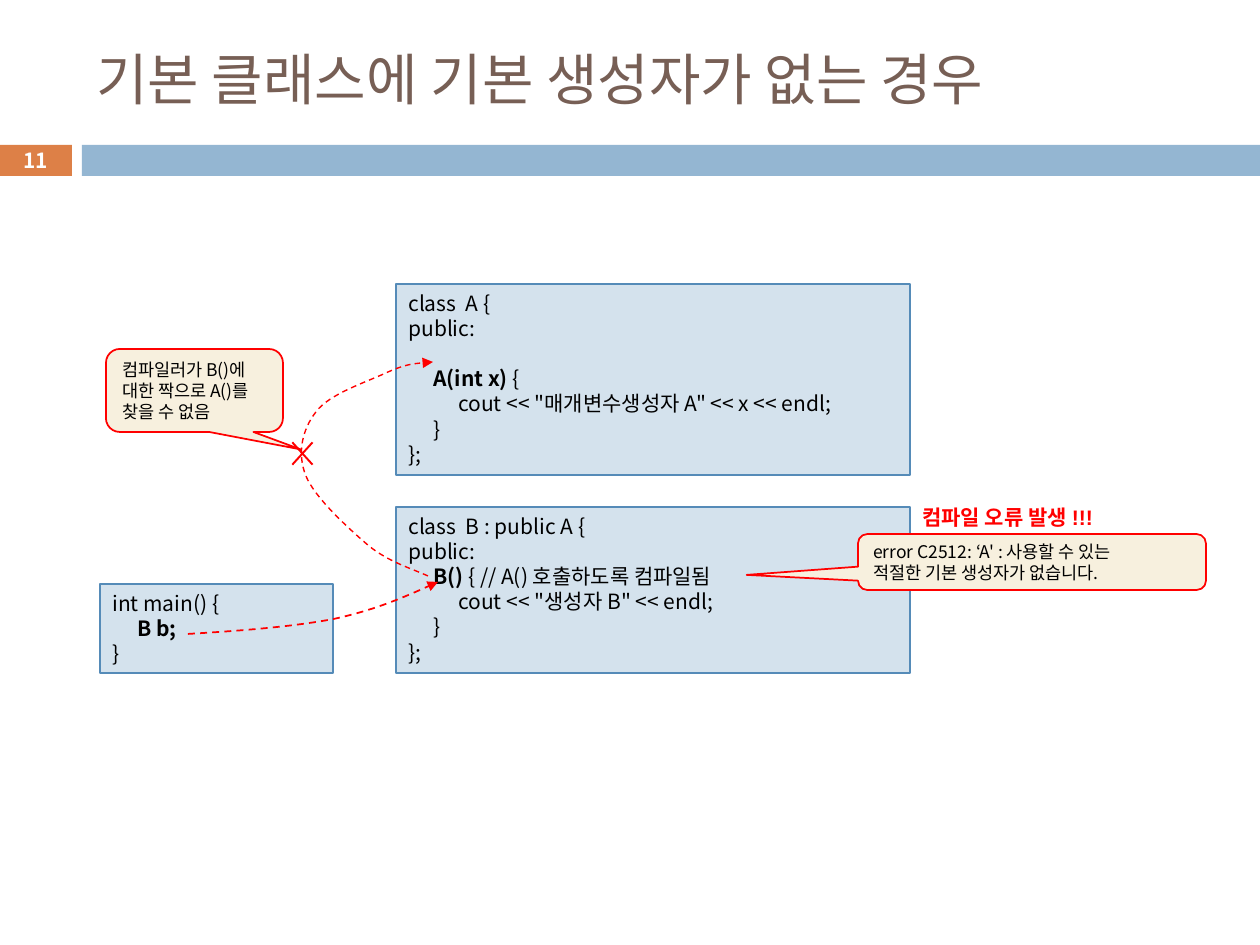
import lxml.etree
import pptx
import pptx.dml.color
import pptx.enum.dml
import pptx.enum.shapes
import pptx.enum.text
import pptx.oxml.ns
import pptx.util

SCALE = 914400 / 126  # EMU per px
FONT = "Noto Sans CJK KR"
TAB = 25
COLORS = {
    "title": "775F55", "number": "DD8047", "bar": "94B6D2", "white": "FFFFFF",
    "code": "D4E2ED", "code_line": "558BB8", "callout": "F7F0DE",
    "red": "FF0000", "black": "000000",
}
SHAPES = pptx.enum.shapes.MSO_SHAPE
ALIGN = pptx.enum.text.PP_ALIGN
ANCHOR = pptx.enum.text.MSO_ANCHOR
qn = pptx.oxml.ns.qn

presentation = pptx.Presentation()
presentation.slide_width = pptx.util.Inches(10)
presentation.slide_height = pptx.util.Inches(7.5)
slide = presentation.slides.add_slide(presentation.slide_layouts[6])


def add_box(kind, bounds, fill=None, line=None, width=1):
    """Add a preset shape, or a text box when kind is None; bounds are in px."""
    emu = [round(value * SCALE) for value in bounds]
    if kind is None:
        return slide.shapes.add_textbox(*emu)
    shape = slide.shapes.add_shape(kind, *emu)
    shape.shadow.inherit = False
    shape.fill.solid()
    shape.fill.fore_color.rgb = pptx.dml.color.RGBColor.from_string(COLORS[fill])
    if line:
        shape.line.color.rgb = pptx.dml.color.RGBColor.from_string(COLORS[line])
        shape.line.width = pptx.util.Pt(width)
    else:
        shape.line.fill.background()
    return shape


def write(shape, lines, size, color="black", bold=None, font=FONT,
          align=ALIGN.LEFT, anchor=ANCHOR.MIDDLE, wrap=True):
    """Fill a shape with lines; ** in a line switches bold on and off."""
    frame = shape.text_frame
    frame.word_wrap = wrap
    frame.vertical_anchor = anchor
    for index, line in enumerate(lines):
        paragraph = frame.paragraphs[0] if index == 0 else frame.add_paragraph()
        paragraph.alignment = align
        if "\t" in line:
            tabs = lxml.etree.SubElement(paragraph._p.get_or_add_pPr(), qn("a:tabLst"))
            for stop in (1, 2):
                lxml.etree.SubElement(tabs, qn("a:tab"), algn="l",
                                      pos=str(round(stop * TAB * SCALE)))
        paragraph.font.size = pptx.util.Pt(size)
        paragraph.font.name = font
        paragraph.font.bold = bold
        paragraph.font.color.rgb = pptx.dml.color.RGBColor.from_string(COLORS[color])
        latin = paragraph._p.pPr.find(qn("a:defRPr")).find(qn("a:latin"))
        latin.addnext(latin.makeelement(qn("a:ea"), {"typeface": FONT}))
        for part, text in enumerate(line.split("**")):
            if text:
                run = paragraph.add_run()
                run.text = text
                if part % 2:
                    run.font.bold = True


# Title band
number_box = add_box(SHAPES.RECTANGLE, (0, 145, 72, 31), "number")
write(number_box, ["11"], 11.9, "white", bold=True, align=ALIGN.CENTER)
add_box(SHAPES.RECTANGLE, (82, 145, 1178, 31), "bar")
title = add_box(None, (84, 32, 1124, 93))
write(title, ["기본 클래스에 기본 생성자가 없는 경우"], 32, "title")

# Code boxes
code_boxes = [
    ((396, 284, 514, 191), [
        "class  A {", "public:", "", "\t**A(int x) **{",
        '\t\tcout << "매개변수생성자 A" << x << endl;', "\t}", "};"]),
    ((396, 507, 514, 166), [
        "class  B : public A {", "public:", "\t**B() **{ // A() 호출하도록 컴파일됨",
        '\t\tcout << "생성자 B" << endl;', "\t}", "};"]),
    ((100, 584, 233, 89), ["int main() {", "\t**B b;**", "}"]),
]
for bounds, lines in code_boxes:
    code_box = add_box(SHAPES.RECTANGLE, bounds, "code", "code_line", 0.75)
    write(code_box, lines, 12, anchor=ANCHOR.TOP)

# Curved call arrows: a start point, then three points for each Bezier segment
call_arrows = [
    (0.79, [(428, 576), (410, 568), (389, 562), (369, 546),
            (349, 529), (315, 498), (306, 476),
            (297, 454), (302, 430), (316, 412),
            (329, 394), (367, 382), (386, 373),
            (406, 364), (420, 363), (433, 362)]),
    (1, [(188, 634), (239, 631), (292, 627), (334, 619),
         (375, 610), (407, 596), (438, 582)]),
]
for width, points in call_arrows:
    builder = slide.shapes.build_freeform(*points[0], scale=SCALE)
    builder.add_line_segments(points[1:], close=False)
    arrow = builder.convert_to_shape()
    arrow.shadow.inherit = False
    arrow.fill.background()
    arrow.line.color.rgb = pptx.dml.color.RGBColor.from_string(COLORS["red"])
    arrow.line.width = pptx.util.Pt(width)
    arrow.line.dash_style = pptx.enum.dml.MSO_LINE.DASH
    lxml.etree.SubElement(arrow.line._get_or_add_ln(), qn("a:tailEnd"), type="triangle")
    segments = list(arrow._element.iter(qn("a:lnTo")))
    for start in range(0, len(segments), 3):
        curve = lxml.etree.SubElement(segments[start].getparent(), qn("a:cubicBezTo"))
        for segment in segments[start:start + 3]:
            curve.append(segment[0])
            segment.getparent().remove(segment)

# Callouts with their tail offsets
callouts = [
    ((106, 349, 177, 83), (0.6, 0.71),
     ["컴파일러가 B()에 대한 짝으로 A()를 찾을 수 없음"]),
    ((858, 534, 348, 56), (-0.82, 0.23),
     ["error C2512: ‘A' : 사용할 수 있는", "적절한 기본 생성자가 없습니다."]),
]
for bounds, tail, lines in callouts:
    callout = add_box(SHAPES.ROUNDED_RECTANGULAR_CALLOUT, bounds, "callout", "red")
    callout.adjustments[0], callout.adjustments[1] = tail
    write(callout, lines, 10)

cross = add_box(SHAPES.MATH_MULTIPLY, (283, 432, 39, 43), "red")
cross.adjustments[0] = 0.05
error_label = add_box(None, (910, 498, 215, 38))
write(error_label, ["컴파일 오류 발생 !!!"], 12, "red", bold=True, font="Arial",
      anchor=ANCHOR.TOP, wrap=False)

presentation.save("out.pptx")
